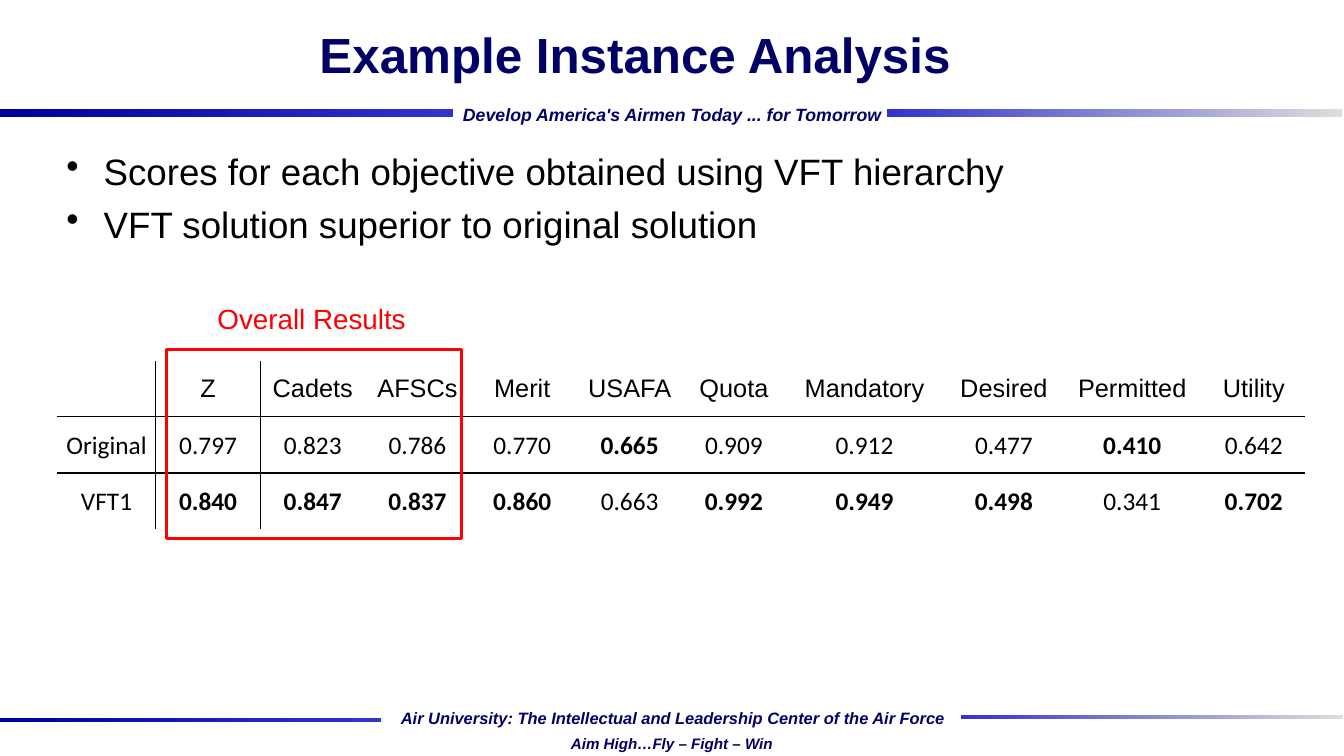
import pptx
import pptx.dml.color
import pptx.enum.shapes
import pptx.enum.text
import pptx.oxml
import pptx.oxml.ns
import pptx.util

RGBColor = pptx.dml.color.RGBColor
Inches, Pt = pptx.util.Inches, pptx.util.Pt
ALIGN, ANCHOR = pptx.enum.text.PP_ALIGN, pptx.enum.text.MSO_ANCHOR
qn = pptx.oxml.ns.qn

NAVY = RGBColor(0x00, 0x00, 0x66)
DEEP_BLUE = RGBColor(0x00, 0x00, 0x99)
BLUE = RGBColor(0x33, 0x33, 0xCC)
SILVER = RGBColor(0xDD, 0xDD, 0xDD)
RED = RGBColor(0xFF, 0x00, 0x00)
BLACK = RGBColor(0x00, 0x00, 0x00)
WHITE = RGBColor(0xFF, 0xFF, 0xFF)

WIDTH, HEIGHT = Inches(14.76), Inches(8.3)
NO_STYLE = "{2D5ABB26-0587-4C30-8999-92F81FD0307C}"

BULLETS = ["Scores for each objective obtained using VFT hierarchy",
           "VFT solution superior to original solution"]
HEADERS = ["", "Z", "Cadets", "AFSCs", "Merit", "USAFA", "Quota",
           "Mandatory", "Desired", "Permitted", "Utility"]
COLUMN_WIDTHS = [1.08, 1.15, 1.15, 1.15, 1.15, 1.21, 1.08, 1.79, 1.27, 1.55, 1.12]
SCORES = {
    "Original": [0.797, 0.823, 0.786, 0.770, 0.665, 0.909, 0.912, 0.477, 0.410, 0.642],
    "VFT1": [0.840, 0.847, 0.837, 0.860, 0.663, 0.992, 0.949, 0.498, 0.341, 0.702],
}


def area(left, top, width, height):
    """Turn percentages of the slide's size into lengths."""
    return (int(WIDTH * left / 100), int(HEIGHT * top / 100),
            int(WIDTH * width / 100), int(HEIGHT * height / 100))


def style(p, size, color, font="Arial", bold=False, italic=False):
    for r in p.runs:
        r.font.name, r.font.size = font, Pt(size)
        r.font.bold, r.font.italic = bold, italic
        r.font.color.rgb = color


def add_text(slide, box, text, size, color=NAVY, align=ALIGN.CENTER,
             anchor=ANCHOR.TOP, wrap=True, **look):
    tf = slide.shapes.add_textbox(*area(*box)).text_frame
    tf.word_wrap = wrap
    tf.vertical_anchor = anchor
    tf.text = text
    for p in tf.paragraphs:
        p.alignment = align
        style(p, size, color, **look)
    return tf


def add_motto(slide, box, text, size):
    add_text(slide, box, text, size, wrap=False, bold=True, italic=True)


def add_bar(slide, box, start, end):
    sp = slide.shapes.add_shape(pptx.enum.shapes.MSO_SHAPE.RECTANGLE, *area(*box))
    sp.shadow.inherit = False
    sp.line.fill.background()
    sp.fill.gradient()
    sp.fill.gradient_angle = 0
    for stop, color in zip(sp.fill.gradient_stops, (start, end)):
        stop.color.rgb = color


def add_frame(slide, box):
    sp = slide.shapes.add_shape(pptx.enum.shapes.MSO_SHAPE.RECTANGLE, *area(*box))
    sp.shadow.inherit = False
    sp.fill.background()
    sp.line.color.rgb = RED
    sp.line.width = Pt(2.25)


def add_bullets(slide, box, lines):
    tf = add_text(slide, box, "\n".join(lines), 29, BLACK, ALIGN.LEFT)
    for i, p in enumerate(tf.paragraphs):
        pPr = p._p.get_or_add_pPr()
        pPr.set("marL", str(Inches(0.41)))
        pPr.set("indent", str(Inches(-0.41)))
        if i:
            p.space_before = Pt(7)
        bullet = pptx.oxml.parse_xml(
            f'<a:buChar {pptx.oxml.ns.nsdecls("a")} char="•"/>')
        pPr.append(bullet)


def add_borders(cell, sides):
    """Draw thin black borders; sides are given in the order L, R, T, B."""
    tcPr = cell._tc.get_or_add_tcPr()
    for i, side in enumerate(sides):
        tcPr.insert(i, pptx.oxml.parse_xml(
            f'<a:ln{side} {pptx.oxml.ns.nsdecls("a")} w="{Pt(1)}">'
            f'<a:solidFill><a:srgbClr val="{BLACK}"/></a:solidFill></a:ln{side}>'))


def fill_cell(cell, text, font, bold):
    cell.fill.solid()
    cell.fill.fore_color.rgb = WHITE
    cell.vertical_anchor = ANCHOR.MIDDLE
    cell.text = text
    p = cell.text_frame.paragraphs[0]
    p.alignment = ALIGN.CENTER
    style(p, 20, BLACK, font, bold)


def add_score_table(slide, box):
    best = [max(pair) for pair in zip(*SCORES.values())]
    rows = [HEADERS] + [[name, *scores] for name, scores in SCORES.items()]
    table = slide.shapes.add_table(len(rows), len(HEADERS), *area(*box)).table
    table.first_row = table.horz_banding = False
    table._tbl.tblPr.find(qn("a:tableStyleId")).text = NO_STYLE
    for column, width in zip(table.columns, COLUMN_WIDTHS):
        column.width = Inches(width)

    for i, row in enumerate(rows):
        for j, value in enumerate(row):
            cell = table.cell(i, j)
            is_score = isinstance(value, float)
            # The better score of each column is bold
            fill_cell(cell, f"{value:.3f}" if is_score else value,
                      "Calibri" if i else "Arial",
                      is_score and value == best[j - 1])
            if i:
                cell.margin_left = cell.margin_right = cell.margin_top = Inches(0.01)
                cell.margin_bottom = 0
            # Rules after the name column and under the header row
            edges = {"L": j == 1, "R": j == 0, "T": i == 1, "B": i == 0}
            add_borders(cell, [side for side, drawn in edges.items() if drawn])


def main():
    prs = pptx.Presentation()
    prs.slide_width, prs.slide_height = WIDTH, HEIGHT
    slide = prs.slides.add_slide(prs.slide_layouts[6])

    # Header and footer bands
    add_bar(slide, (65.99, 14.46, 33.88, 1.08), BLUE, SILVER)
    add_bar(slide, (0, 14.46, 33.74, 1.08), DEEP_BLUE, BLUE)
    add_motto(slide, (33.67, 13.13, 32.72, 4.1),
              "Develop America's Airmen Today ... for Tomorrow", 14)
    add_bar(slide, (0, 94.94, 28.32, 0.6), DEEP_BLUE, BLUE)
    add_bar(slide, (71.48, 94.58, 28.46, 0.6), BLUE, SILVER)
    add_motto(slide, (28.86, 93.01, 42.34, 3.73),
              "Air University: The Intellectual and Leadership Center of the Air Force", 13)
    add_motto(slide, (41.6, 96.5, 16.8, 3.5), "Aim High…Fly – Fight – Win", 12)

    # Title and key points
    add_text(slide, (8.54, 0, 77.44, 14.1), "Example Instance Analysis", 39,
             anchor=ANCHOR.MIDDLE, bold=True)
    add_bullets(slide, (4.27, 19.04, 91.33, 73.13), BULLETS)

    # Scores with the overall results framed
    add_score_table(slide, (4.27, 47.71, 92.62, 22.29))
    add_frame(slide, (12.4, 46.27, 21.95, 24.94))
    add_text(slide, (15.51, 39.28, 15.72, 5.66), "Overall Results", 22, RED, ALIGN.LEFT)

    prs.save("out.pptx")


if __name__ == "__main__":
    main()
